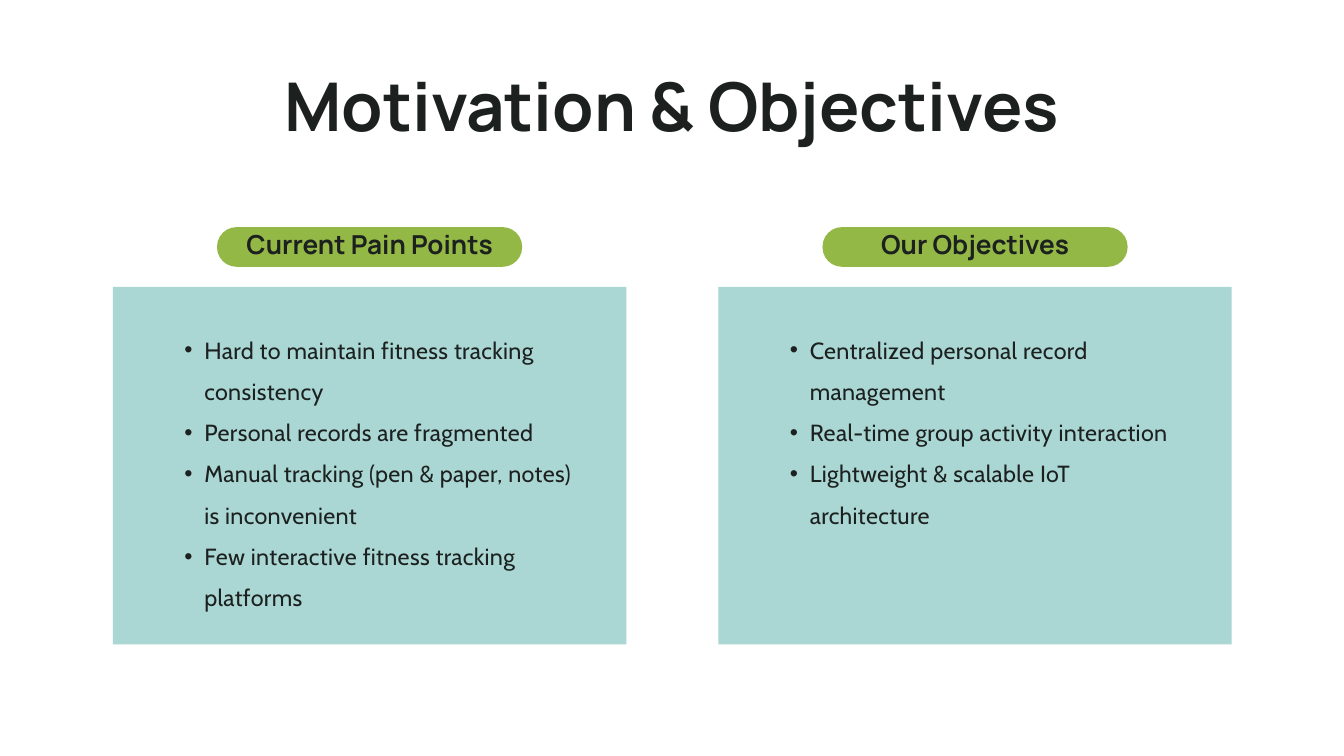
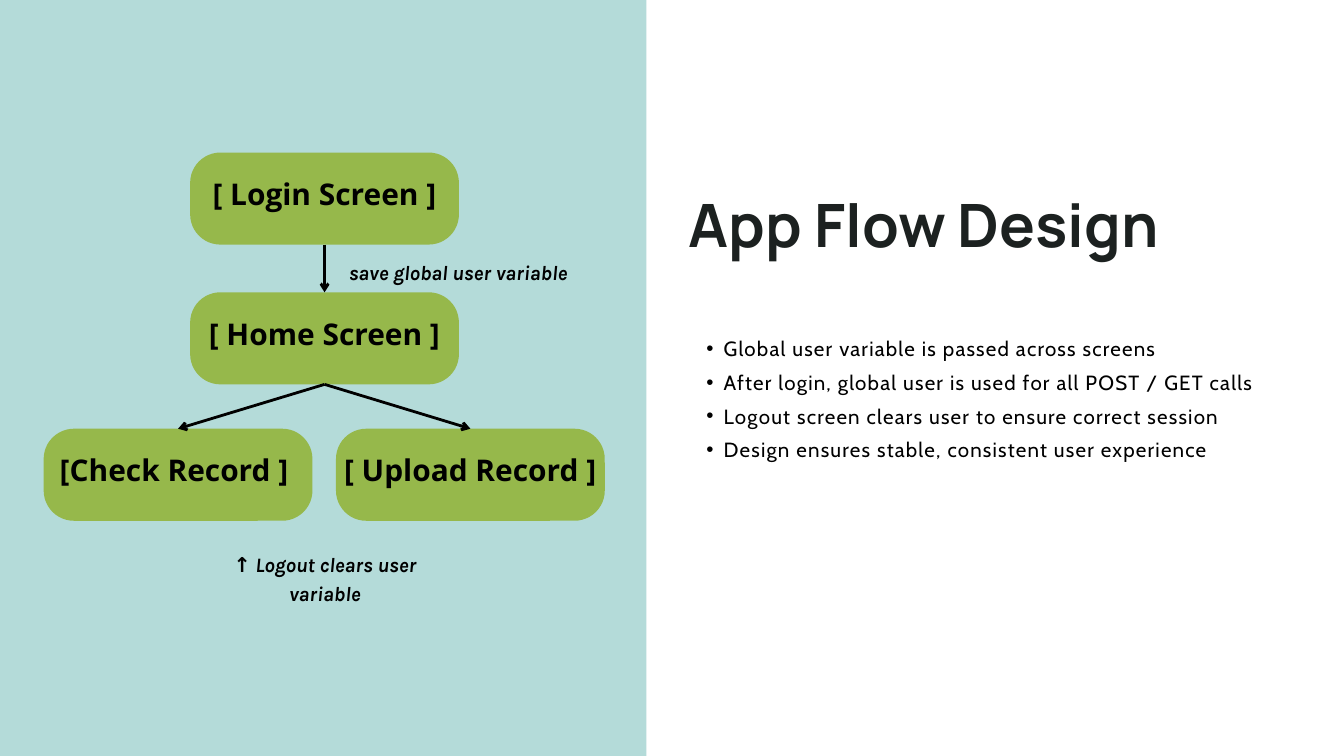
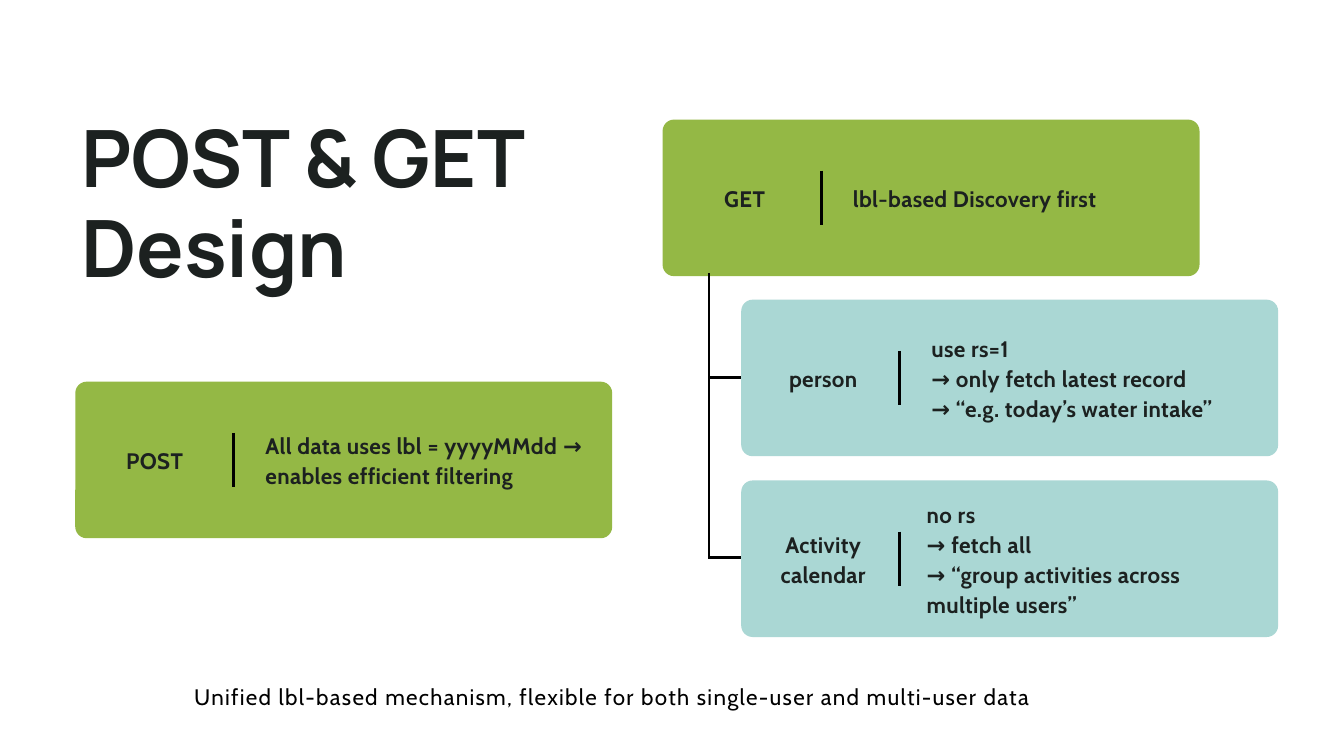
from lxml import etree
from pptx import Presentation
from pptx import util as u
from pptx.dml.color import RGBColor
from pptx.enum import shapes, text
from pptx.oxml import ns

COLOURS = {
    "ink": "1C2120",
    "black": "000000",
    "teal": "AAD7D4",
    "green": "94B845",
    "leaf": "96B84B",
}
CENTER = text.PP_ALIGN.CENTER
LEFT = text.PP_ALIGN.LEFT
TOP = text.MSO_ANCHOR.TOP
MIDDLE = text.MSO_ANCHOR.MIDDLE
STYLES = {
    "pill": dict(font="Manrope", size=28, leading=30.2, bold=True),
    "points": dict(font="Cabin", size=25, leading=44.2, tracking=0.4),
    "notes": dict(font="Cabin", size=22, leading=36.3, tracking=1.3, colour="black"),
    "node": dict(font="Open Sans", size=32, leading=44.8, bold=True, colour="black"),
    "remark": dict(font="Karla", size=22, leading=30.8, bold=True, italic=True, colour="black"),
    "card": dict(font="Cabin", size=24, leading=32.4, bold=True, tracking=0.4),
    "summary": dict(font="Cabin", size=24, leading=32.4, tracking=1.4, colour="black"),
}


class Deck:
    def __init__(self):
        self.file = Presentation()
        self.file.slide_width = u.Inches(20)
        self.file.slide_height = u.Inches(11.25)
        self.page = None

    def rgb(self, name):
        return RGBColor.from_string(COLOURS[name])

    def add_page(self):
        self.page = self.file.slides.add_slide(self.file.slide_layouts[5])

    def title(self, wording, left, top, width, height, size, leading, align=LEFT):
        box = self.page.shapes.title
        box.left, box.top, box.width, box.height = map(u.Inches, (left, top, width, height))
        style = dict(font="Manrope", size=size, leading=leading, bold=True)
        self.fill_text(box.text_frame, [wording], style, align)

    def fill_text(self, frame, lines, style, align=LEFT, anchor=TOP, wrap=True, below=0, bullet=None):
        frame.auto_size = text.MSO_AUTO_SIZE.NONE
        frame.word_wrap = wrap
        frame.vertical_anchor = anchor
        frame.margin_left = frame.margin_right = frame.margin_top = 0
        frame.margin_bottom = u.Inches(below)
        for number, line in enumerate(lines):
            para = frame.paragraphs[0] if number == 0 else frame.add_paragraph()
            para.alignment = align
            para.line_spacing = u.Pt(style["leading"])
            para.space_before = para.space_after = u.Pt(0)
            if bullet:
                self.add_bullet(para, bullet)
            span = para.add_run()
            span.text = line
            span.font.name = style["font"]
            span.font.size = u.Pt(style["size"])
            span.font.bold = style.get("bold", False)
            span.font.italic = style.get("italic", False)
            span.font.color.rgb = self.rgb(style.get("colour", "ink"))
            if "tracking" in style:
                span._r.get_or_add_rPr().set("spc", str(round(style["tracking"] * 100)))

    def add_bullet(self, para, indent):
        props = para._p.get_or_add_pPr()
        props.set("marL", str(u.Inches(indent)))
        props.set("indent", str(-u.Inches(indent / 2)))
        etree.SubElement(props, ns.qn("a:buFont")).set("typeface", "Arial")
        etree.SubElement(props, ns.qn("a:buChar")).set("char", "•")

    def text(self, lines, left, top, width, height, style, **layout):
        box = self.page.shapes.add_textbox(*map(u.Inches, (left, top, width, height)))
        self.fill_text(box.text_frame, lines, STYLES[style], **layout)

    def block(self, left, top, width, height, colour, radius=0, opacity=None):
        kind = shapes.MSO_SHAPE.ROUNDED_RECTANGLE if radius else shapes.MSO_SHAPE.RECTANGLE
        box = self.page.shapes.add_shape(kind, *map(u.Inches, (left, top, width, height)))
        box.shadow.inherit = False
        box.fill.solid()
        box.fill.fore_color.rgb = self.rgb(colour)
        box.line.fill.background()
        if radius:
            box.adjustments[0] = radius / min(width, height)
        if opacity:
            tint = box._element.spPr.find(".//" + ns.qn("a:srgbClr"))
            etree.SubElement(tint, ns.qn("a:alpha")).set("val", str(opacity * 1000))
        return box

    def label(self, wording, left, top, width, height, colour, radius, style, below):
        box = self.block(left, top, width, height, colour, radius)
        self.fill_text(box.text_frame, [wording], STYLES[style], CENTER, MIDDLE, wrap=False, below=below)

    def line(self, start, end, arrow=False):
        link = self.page.shapes.add_connector(
            shapes.MSO_CONNECTOR.STRAIGHT, *map(u.Inches, (*start, *end)))
        link.line.color.rgb = self.rgb("black")
        link.line.width = u.Pt(3)
        if arrow:
            outline = link._element.spPr.find(ns.qn("a:ln"))
            etree.SubElement(outline, ns.qn("a:tailEnd")).set("type", "arrow")
        etree.SubElement(link._element.spPr, ns.qn("a:effectLst"))

    def card(self, left, top, colour, heading, details, gap=2.83):
        self.block(left, top, 7.99, 2.33, colour, radius=0.17)
        self.text(heading, left + 0.38, top, 1.68, 2.3, "card", align=CENTER, anchor=MIDDLE)
        self.line((left + 2.36, top + 0.76), (left + 2.36, top + 1.57))
        self.text(details, left + gap, top, 7.71 - gap, 2.3, "card", anchor=MIDDLE)


def motivation(deck):
    deck.add_page()
    deck.title("Motivation & Objectives", 3.36, 1.19, 13.27, 1.09, 72, 69.8, CENTER)
    columns = {
        "Current Pain Points": [
            "Hard to maintain fitness tracking consistency",
            "Personal records are fragmented",
            "Manual tracking (pen & paper, notes) is inconvenient",
            "Few interactive fitness tracking platforms",
        ],
        "Our Objectives": [
            "Centralized personal record management",
            "Real-time group activity interaction",
            "Lightweight & scalable IoT architecture",
        ],
    }
    for number, (heading, points) in enumerate(columns.items()):
        left = 1.68 + number * 9.01
        deck.block(left, 4.27, 7.64, 5.32, "teal")
        deck.label(heading, left + 1.55, 3.38, 4.54, 0.59, "green", 0.29, "pill", 0.03)
        deck.text(points, left + 0.77, 4.8, 6.08, 4.79, "points", bullet=0.59)


def app_flow(deck):
    deck.add_page()
    deck.block(0, 0, 9.62, 11.25, "teal", opacity=88)
    deck.title("App Flow Design", 10.25, 3, 9.61, 0.98, 64, 62.1)
    deck.text([
        "Global user variable is passed across screens",
        "After login, global user is used for all POST / GET calls",
        "Logout screen clears user to ensure correct session",
        "Design ensures stable, consistent user experience",
    ], 10.25, 4.86, 8.64, 3.48, "notes", bullet=0.52)

    width, height = 4, 1.37
    screens = [
        ("[ Login Screen ]", 2.83, 2.27),
        ("[ Home Screen ]", 2.83, 4.35),
        ("[Check Record ] ", 0.65, 6.38),
        ("[ Upload Record ]", 5, 6.38),
    ]
    for name, left, top in screens:
        deck.label(name, left, top, width, height, "leaf", 0.45, "node", 0.24)
    for source, target in [(0, 1), (1, 2), (1, 3)]:
        _, from_left, from_top = screens[source]
        _, to_left, to_top = screens[target]
        deck.line((from_left + width / 2, from_top + height), (to_left + width / 2, to_top), arrow=True)
    deck.text(["save global user variable"], 5.19, 3.8, 3.61, 0.41, "remark")
    deck.text(["↑ Logout clears user variable"], 3.32, 8.15, 3.03, 0.83, "remark", align=CENTER)


def post_and_get(deck):
    deck.add_page()
    deck.title("POST & GET Design", 1.21, 1.68, 9.34, 2.78, 84.7, 96.6)
    deck.card(1.12, 5.68, "green", ["POST "],
              ["All data uses lbl = yyyyMMdd → enables efficient filtering"])
    deck.card(9.86, 1.78, "green", ["GET"], ["lbl-based Discovery first"])
    deck.card(11.03, 4.46, "teal", ["person"],
              ["use rs=1", "→ only fetch latest record", "→ “e.g. today’s water intake”"])
    deck.card(11.03, 7.15, "teal", ["Activity", "calendar"],
              ["no rs", "→ fetch all", "→ “group activities across multiple users”"], gap=2.76)
    deck.line((10.55, 4.07), (10.55, 8.32))
    for branch in (5.62, 8.3):
        deck.line((10.55, branch), (11.03, branch))
    deck.text(["Unified lbl-based mechanism, flexible for both single-user and multi-user data"],
              2.89, 10.11, 14.23, 0.44, "summary")


def main():
    deck = Deck()
    motivation(deck)
    app_flow(deck)
    post_and_get(deck)
    deck.file.save("out.pptx")


if __name__ == "__main__":
    main()
